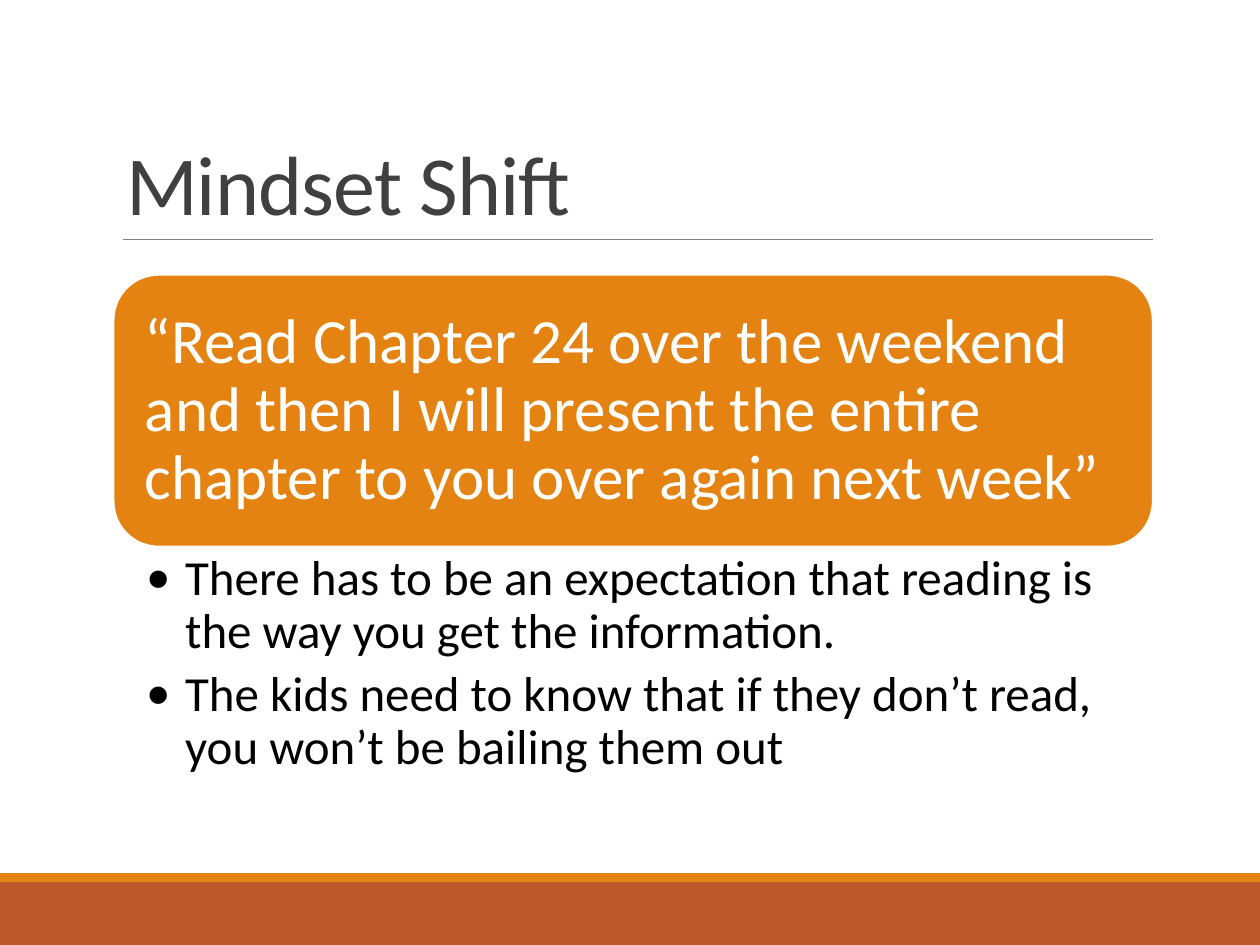
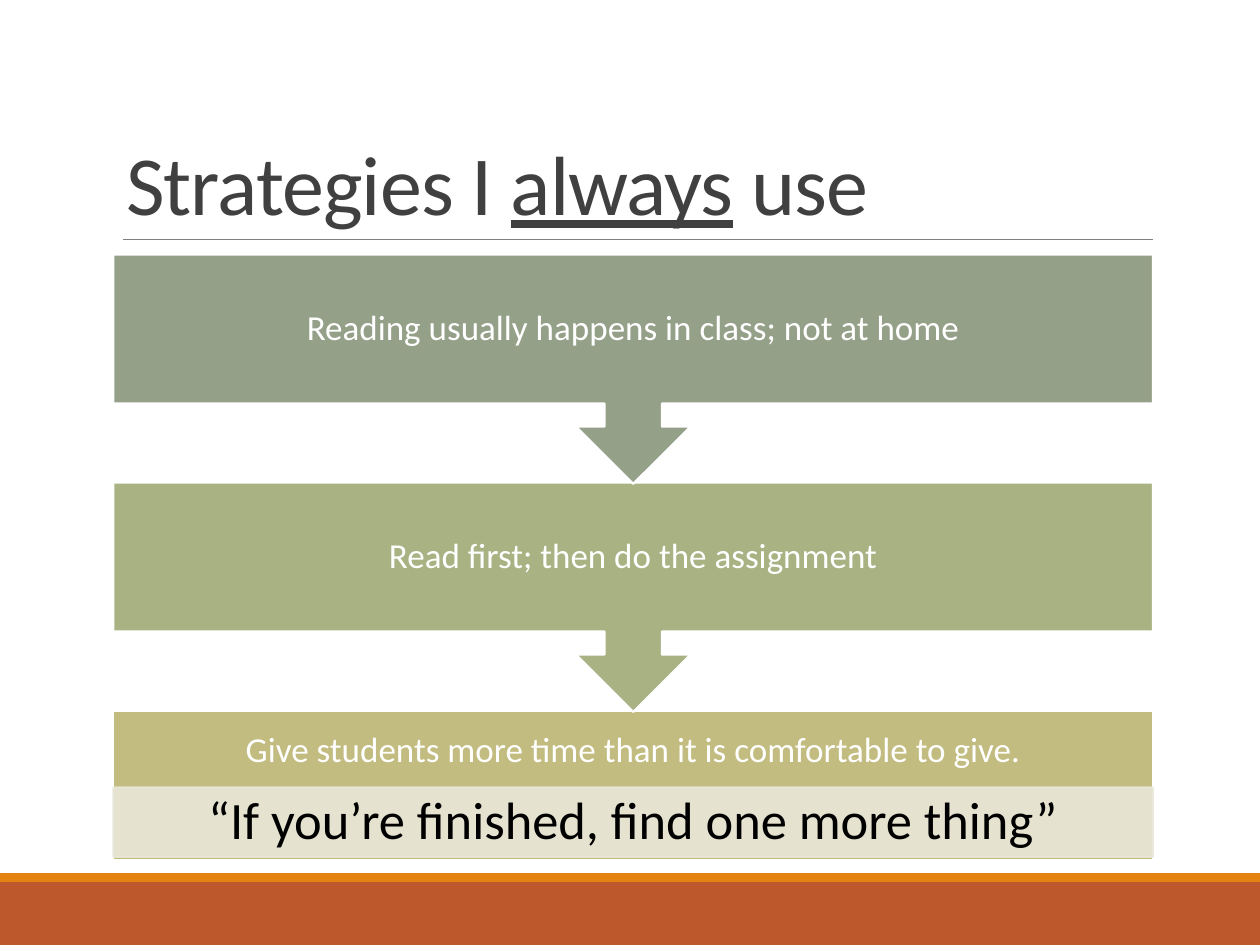
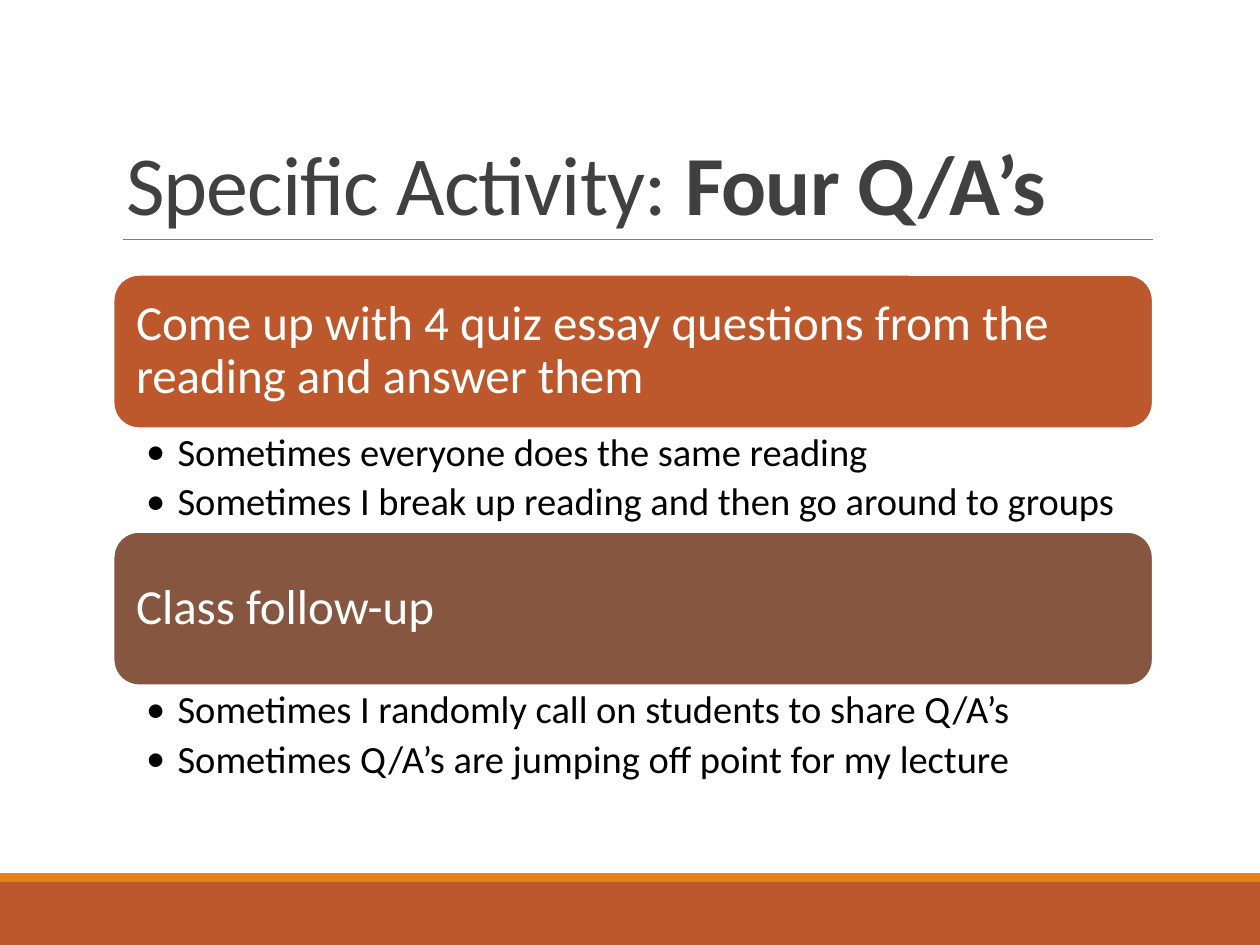
from lxml import etree
from pptx import Presentation
from pptx.dml.color import RGBColor
from pptx.enum.shapes import MSO_CONNECTOR, MSO_SHAPE as Preset
from pptx.enum.text import MSO_ANCHOR as Anchor, MSO_AUTO_SIZE, PP_ALIGN as Align
from pptx.oxml.ns import qn
from pptx.util import Inches, Pt

WHITE = RGBColor(0xFF, 0xFF, 0xFF)
BLACK = RGBColor(0x00, 0x00, 0x00)
CHARCOAL = RGBColor(0x40, 0x40, 0x40)
GRAY = RGBColor(0x80, 0x80, 0x80)
RUST = RGBColor(0xBD, 0x58, 0x2C)
ORANGE = RGBColor(0xE4, 0x83, 0x12)
BROWN = RGBColor(0x86, 0x56, 0x40)
SAGE = RGBColor(0x94, 0xA0, 0x88)
OLIVE = RGBColor(0xA8, 0xB2, 0x83)
KHAKI = RGBColor(0xC2, 0xBC, 0x80)
CREAM = RGBColor(0xE9, 0xE7, 0xD8)

FONT = "Calibri"
LEFT, WIDTH = 0.9, 8.25  # content column shared by all slides
TOP = 2.18               # top of the first heading block


def set_attributes(target, values):
    for name, value in values.items():
        setattr(target, name, value)


def add_run(paragraph, text, size, color, **style):
    run = paragraph.add_run()
    run.text = text
    set_attributes(run.font, {"name": FONT, "size": Pt(size), **style})
    run.font.color.rgb = color
    return run


def add_block(slide, preset, box, fill, line=WHITE):
    """Filled preset shape; line=None leaves it without an outline."""
    block = slide.shapes.add_shape(preset, *map(Inches, box))
    block.shadow.inherit = False
    block.fill.solid()
    block.fill.fore_color.rgb = fill
    if line is None:
        block.line.fill.background()
    else:
        block.line.color.rgb = line
        block.line.width = Pt(1.25)
    return block


def add_text(slide, box, texts, size, color, insets, anchor=Anchor.MIDDLE,
             align=Align.LEFT, after=0.35, indent=None):
    """Text box; after is a share of the size, indent turns on bullets."""
    frame = slide.shapes.add_textbox(*map(Inches, box)).text_frame
    sides = ("margin_left", "margin_top", "margin_right", "margin_bottom")
    set_attributes(frame, {"word_wrap": True, "vertical_anchor": anchor,
                           **dict(zip(sides, map(Inches, insets)))})
    for index, text in enumerate(texts):
        paragraph = frame.add_paragraph() if index else frame.paragraphs[0]
        set_attributes(paragraph, {"alignment": align, "line_spacing": 0.9,
                                   "space_after": Pt(size * after)})
        add_run(paragraph, text, size, color)
        if indent:
            add_bullet(paragraph, indent)


def add_bullet(paragraph, indent):
    properties = paragraph._p.get_or_add_pPr()
    properties.set("marL", str(Inches(indent)))
    properties.set("indent", str(-Inches(indent)))
    etree.SubElement(properties, qn("a:buFont")).set("typeface", FONT)
    etree.SubElement(properties, qn("a:buChar")).set("char", "•")


def make_translucent(color_format_parent, percent):
    color = color_format_parent.find(".//" + qn("a:srgbClr"))
    etree.SubElement(color, qn("a:alpha")).set("val", str(percent * 1000))


def decorate_layout(layout, slide):
    """Draw the bands and title rule once, then move them to the layout."""
    for placeholder in list(layout.placeholders):
        if placeholder.placeholder_format.idx:
            placeholder.element.getparent().remove(placeholder.element)
    band = add_block(slide, Preset.RECTANGLE, (0, 7, 10, 0.5), RUST, None)
    stripe = add_block(slide, Preset.RECTANGLE, (0, 6.93, 10, 0.07), ORANGE, None)
    rule = slide.shapes.add_connector(
        MSO_CONNECTOR.STRAIGHT, *map(Inches, (0.98, 1.9, 9.15, 1.9)))
    rule.line.color.rgb = GRAY
    rule.line.width = Pt(0.5)
    etree.SubElement(rule.element.spPr, qn("a:effectLst"))
    for part in (band, stripe, rule):
        layout.shapes.element.append(part.element)


def add_titled_slide(deck, layout, *pieces):
    """Title-only slide; each piece is a text with its font style."""
    slide = deck.slides.add_slide(layout)
    title = slide.shapes.title
    set_attributes(title, {"left": Inches(LEFT), "top": Inches(0.31),
                           "width": Inches(WIDTH), "height": Inches(1.59)})
    frame = title.text_frame
    set_attributes(frame, {"vertical_anchor": Anchor.BOTTOM, "word_wrap": True,
                           "auto_size": MSO_AUTO_SIZE.NONE})
    paragraph = frame.paragraphs[0]
    set_attributes(paragraph, {"alignment": Align.LEFT, "line_spacing": 0.85})
    for text, style in pieces:
        run = add_run(paragraph, text, 48, CHARCOAL, **style)
        run.font._element.set("spc", "-50")
    return slide


def add_heading(slide, top, height, text, size, fill, pad, inset):
    """Rounded heading; pad keeps the text clear of the corners."""
    add_block(slide, Preset.ROUNDED_RECTANGLE, (LEFT, top, WIDTH, height), fill)
    inner = (LEFT + pad, top + pad, WIDTH - 2 * pad, height - 2 * pad)
    add_text(slide, inner, [text], size, WHITE, [inset] * 4)


def add_points(slide, top, height, points, size, indent, insets):
    add_text(slide, (LEFT, top, WIDTH, height), points, size, BLACK, insets,
             anchor=Anchor.TOP, after=0.2, indent=indent)


def add_stage_text(slide, top, height, text):
    add_text(slide, (LEFT, top, WIDTH, height), [text], 20, WHITE,
             [0.16] * 4, align=Align.CENTER)


def fill_mindset(slide):
    add_heading(slide, TOP, 2.16,
                "“Read Chapter 24 over the weekend and then I will present "
                "the entire chapter to you over again next week”",
                36, ORANGE, 0.1, 0.15)
    add_points(slide, TOP + 2.16, 1.92, [
        "There has to be an expectation that reading is the way you get "
        "the information.",
        "The kids need to know that if they don’t read, you won’t be "
        "bailing them out",
    ], 28, 0.31, (0.26, 0.05, 0.28, 0.05))


def fill_strategies(slide):
    first, pitch, height = 2.02, 1.81, 1.19
    # Last stage, with its quote strip
    last = first + 2 * pitch
    add_block(slide, Preset.RECTANGLE, (LEFT, last, WIDTH, height), KHAKI)
    add_stage_text(slide, last, 0.64,
                   "Give students more time than it is comfortable to give.")
    strip_box = (LEFT, 6.25, WIDTH, 0.55)
    strip = add_block(slide, Preset.RECTANGLE, strip_box, CREAM, CREAM)
    for tag in ("a:solidFill", "a:ln"):
        make_translucent(strip.element.spPr.find(qn(tag)), 90)
    add_text(slide, strip_box, ["“If you’re finished, find one more thing”"],
             30, BLACK, (0.23, 0.04, 0.23, 0.04), align=Align.CENTER)
    # Earlier stages lie over the later ones, so they go from bottom to top
    stages = [("Reading usually happens in class; not at home", SAGE),
              ("Read first; then do the assignment", OLIVE)]
    for index, (text, fill) in reversed(list(enumerate(stages))):
        top = first + index * pitch
        callout = add_block(slide, Preset.UP_ARROW_CALLOUT,
                            (LEFT, top, WIDTH, 1.82), fill)
        callout.rotation = 180
        add_stage_text(slide, top, height, text)


def fill_activity(slide):
    sections = [
        ("Come up with 4 quiz essay questions from the reading and answer them",
         RUST,
         ["Sometimes everyone does the same reading",
          "Sometimes I break up reading and then go around to groups"]),
        ("Class follow-up", BROWN,
         ["Sometimes I randomly call on students to share Q/A’s",
          "Sometimes Q/A’s are jumping off point for my lecture"]),
    ]
    heading_height, points_height = 1.22, 0.82
    for index, (heading, fill, points) in enumerate(sections):
        top = TOP + index * (heading_height + points_height)
        add_heading(slide, top, heading_height, heading, 28, fill, 0.06, 0.12)
        add_points(slide, top + heading_height, points_height, points,
                   22, 0.25, (0.26, 0.04, 0.22, 0.04))


def main():
    deck = Presentation()
    deck.slide_width, deck.slide_height = Inches(10), Inches(7.5)
    layout = deck.slide_layouts[5]

    mindset = add_titled_slide(deck, layout, ("Mindset Shift", {}))
    decorate_layout(layout, mindset)
    fill_mindset(mindset)

    fill_strategies(add_titled_slide(
        deck, layout, ("Strategies I ", {}), ("always", {"underline": True}),
        (" use", {})))

    fill_activity(add_titled_slide(
        deck, layout, ("Specific Activity: ", {}),
        ("Four Q/A’s", {"bold": True})))

    deck.save("out.pptx")


main()
